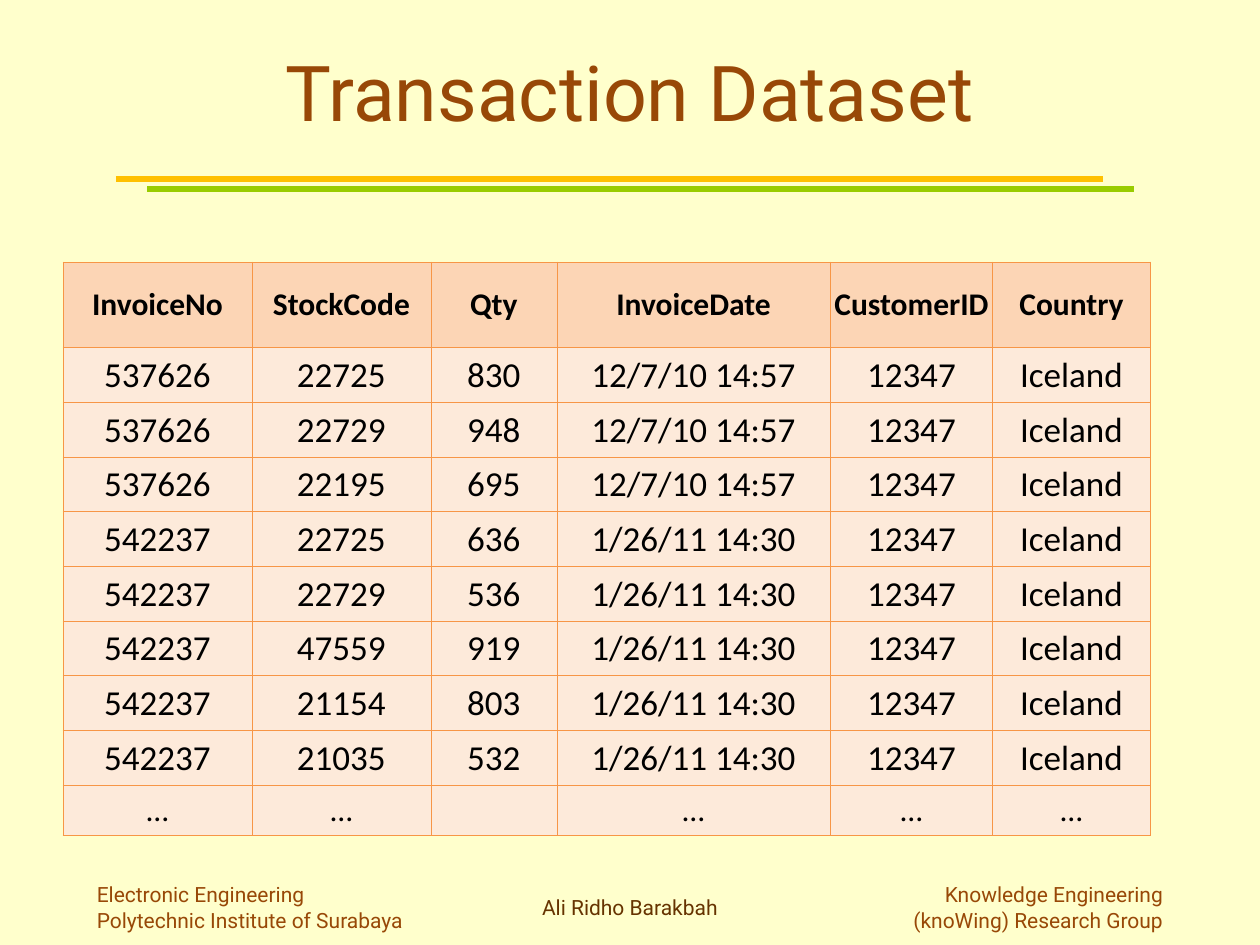
from lxml.etree import SubElement
from pptx import Presentation
from pptx.dml.color import RGBColor
from pptx.enum.shapes import MSO_CONNECTOR
from pptx.enum.text import MSO_ANCHOR, PP_ALIGN
from pptx.oxml.ns import qn
from pptx.util import Inches, Pt

CREAM = RGBColor(0xFF, 0xFF, 0xCC)
BROWN = RGBColor(0x98, 0x48, 0x07)
DARK_BROWN = RGBColor(0x66, 0x33, 0x00)
AMBER = RGBColor(0xFF, 0xC0, 0x00)
GREEN = RGBColor(0x99, 0xCC, 0x00)
HEADER_FILL = RGBColor(0xFC, 0xD5, 0xB5)
BODY_FILL = RGBColor(0xFD, 0xEA, 0xDA)
BORDER = RGBColor(0xF7, 0x96, 0x46)
BLACK = RGBColor(0, 0, 0)

# Content
TITLE = "Transaction Dataset"
HEADERS = ["InvoiceNo", "StockCode", "Qty", "InvoiceDate", "CustomerID", "Country"]
CUSTOMER = ("12347", "Iceland")
INVOICES = [
    ("537626", "12/7/10 14:57", [("22725", "830"), ("22729", "948"), ("22195", "695")]),
    ("542237", "1/26/11 14:30", [("22725", "636"), ("22729", "536"), ("47559", "919"),
                                 ("21154", "803"), ("21035", "532")]),
]
MORE = ["…", "…", "", "…", "…", "…"]
COLUMN_WIDTHS = [1.5, 1.42, 1, 2.17, 1.29, 1.25]
HEADER_HEIGHT, ROW_HEIGHT = 0.68, 0.37
# Rules: left, top, colour
RULES = [(0.92, 1.42, AMBER), (1.17, 1.5, GREEN)]
RULE_LENGTH = 7.83
# Footers: left, top, width, height, alignment, colour, lines
FOOTERS = [
    (0.67, 6.95, 2.67, 0.5, PP_ALIGN.LEFT, BROWN,
     ["Electronic Engineering", "Polytechnic Institute of Surabaya"]),
    (0.75, 7.05, 8.5, 0.3, PP_ALIGN.CENTER, DARK_BROWN, ["Ali Ridho Barakbah"]),
    (6.58, 6.95, 2.75, 0.5, PP_ALIGN.RIGHT, BROWN,
     ["Knowledge Engineering", "(knoWing) Research Group"]),
]


def add_text(paragraph, text, font_name, size, color, align, bold=False):
    paragraph.alignment = align
    run = paragraph.add_run()
    run.text = text
    run.font.name = font_name
    run.font.size = Pt(size)
    run.font.bold = bold
    run.font.color.rgb = color


def add_borders(cell):
    properties = cell._tc.get_or_add_tcPr()
    for position, side in enumerate(("a:lnL", "a:lnR", "a:lnT", "a:lnB")):
        line = SubElement(properties, qn(side), w=str(Pt(0.45)))
        fill = SubElement(line, qn("a:solidFill"))
        SubElement(fill, qn("a:srgbClr"), val=str(BORDER))
        properties.insert(position, line)  # borders come before the fill


prs = Presentation()
prs.slide_width, prs.slide_height = Inches(10), Inches(7.5)
slide = prs.slides.add_slide(prs.slide_layouts[5])
slide.background.fill.solid()
slide.background.fill.fore_color.rgb = CREAM

# Double rule under the title
for left, top, color in RULES:
    rule = slide.shapes.add_connector(MSO_CONNECTOR.STRAIGHT, Inches(left), Inches(top),
                                      Inches(left + RULE_LENGTH), Inches(top))
    rule.line.color.rgb = color
    rule.line.width = Pt(3.75)
    SubElement(rule._element.spPr, qn("a:effectLst"))

# Footers
for left, top, width, height, align, color, lines in FOOTERS:
    footer = slide.shapes.add_textbox(Inches(left), Inches(top), Inches(width), Inches(height))
    frame = footer.text_frame
    frame.word_wrap = True
    for index, line in enumerate(lines):
        paragraph = frame.add_paragraph() if index else frame.paragraphs[0]
        add_text(paragraph, line, "Roboto", 12, color, align)

# Transaction table
records = [[invoice, stock, qty, date, *CUSTOMER]
           for invoice, date, items in INVOICES for stock, qty in items]
rows = [HEADERS, *records, MORE]
table_height = HEADER_HEIGHT + ROW_HEIGHT * (len(rows) - 1)
table = slide.shapes.add_table(len(rows), len(HEADERS), Inches(0.5), Inches(2.08),
                               Inches(sum(COLUMN_WIDTHS)), Inches(table_height)).table
for column, width in zip(table.columns, COLUMN_WIDTHS):
    column.width = Inches(width)
for r, values in enumerate(rows):
    is_header = values is HEADERS
    table.rows[r].height = Inches(HEADER_HEIGHT if is_header else ROW_HEIGHT)
    size = 20 if values in records else 18
    for c, value in enumerate(values):
        cell = table.cell(r, c)
        cell.fill.solid()
        cell.fill.fore_color.rgb = HEADER_FILL if is_header else BODY_FILL
        cell.vertical_anchor = MSO_ANCHOR.MIDDLE
        cell.margin_left = cell.margin_right = Inches(0.01)
        add_borders(cell)
        if value:
            add_text(cell.text_frame.paragraphs[0], value, "Calibri", size, BLACK,
                     PP_ALIGN.CENTER, is_header)

# Title
title = slide.shapes.title
title.left, title.top, title.width, title.height = map(Inches, (0.5, 0.3, 9, 1.25))
title.text_frame.vertical_anchor = MSO_ANCHOR.TOP
add_text(title.text_frame.paragraphs[0], TITLE, "Roboto", 44, BROWN, PP_ALIGN.CENTER)

prs.save("out.pptx")
